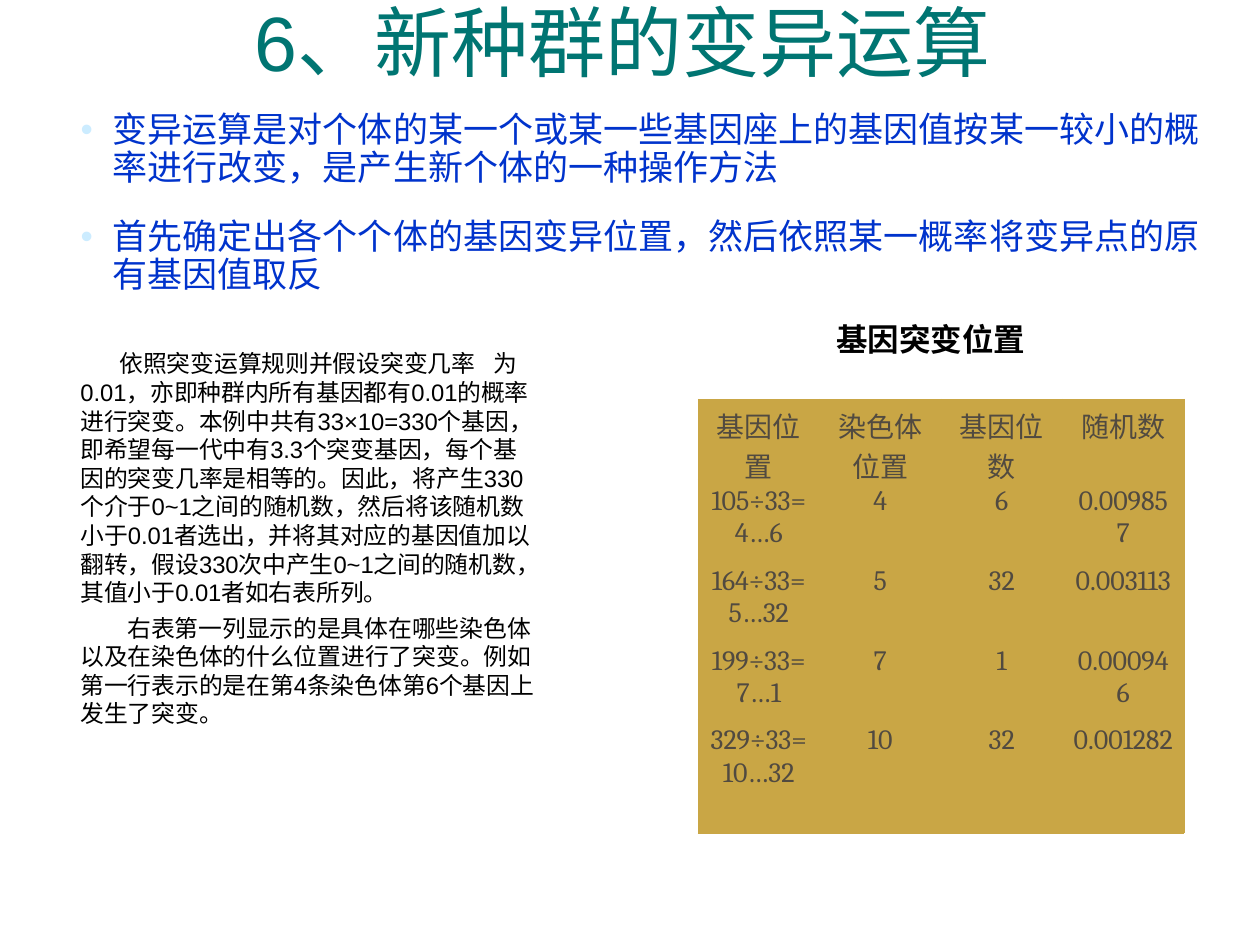
from lxml import etree
from pptx import Presentation
from pptx.dml.color import RGBColor
from pptx.enum.text import MSO_ANCHOR, MSO_AUTO_SIZE, PP_ALIGN
from pptx.oxml.ns import qn
from pptx.util import Pt

PX = 914400 // 126
CENTER, LEFT = PP_ALIGN.CENTER, PP_ALIGN.LEFT
BOTTOM, TOP = MSO_ANCHOR.BOTTOM, MSO_ANCHOR.TOP
NO_FIT = MSO_AUTO_SIZE.NONE
SANS, SERIF, CJK = "Arial", "Cambria", "Noto Sans CJK SC"
COLORS = {"title": "007572", "list": "0033CC", "bullet": "CCECFF",
          "text": "000000", "cell": "C9A645", "cell_text": "514A40"}

TITLE = "6、新种群的变异运算"
POINTS = [
    "变异运算是对个体的某一个或某一些基因座上的基因值按某一较小的概率进行改变，是产生新个体的一种操作方法",
    "首先确定出各个个体的基因变异位置，然后依照某一概率将变异点的原有基因值取反",
]
# Each paragraph with its first-line indent in px
EXPLANATION = [
    (39, "依照突变运算规则并假设突变几率\t为0.01，亦即种群内所有基因都有0.01的概率进行突变。"
         "本例中共有33×10=330个基因，即希望每一代中有3.3个突变基因，每个基因的突变几率是相等的。"
         "因此，将产生330个介于0~1之间的随机数，然后将该随机数小于0.01者选出，并将其对应的基因值加以翻转，"
         "假设330次中产生0~1之间的随机数，其值小于0.01者如右表所列。"),
    (47, "右表第一列显示的是具体在哪些染色体以及在染色体的什么位置进行了突变。"
         "例如第一行表示的是在第4条染色体第6个基因上发生了突变。"),
]
CAPTION = "基因突变位置"
ROWS = [
    ("基因位置", "染色体位置", "基因位数", "随机数"),
    ("105÷33=4…6", "4", "6", "0.009857"),
    ("164÷33=5…32", "5", "32", "0.003113"),
    ("199÷33=7…1", "7", "1", "0.000946"),
    ("329÷33=10…32", "10", "32", "0.001282"),
]
ROW_HEIGHTS = [80, 80, 80, 80, 114]


def emu(box):
    return [v * PX for v in box]


def place(sp, box):
    sp.left, sp.top, sp.width, sp.height = emu(box)


def add_run(p, text, font, size, color, bold=False):
    r = p.add_run()
    r.text = text
    r.font.name, r.font.size, r.font.bold = font, Pt(size), bold
    r.font.color.rgb = RGBColor.from_string(COLORS[color])
    return r


def paragraph(tf, index, align, before=0):
    p = tf.paragraphs[0] if index == 0 else tf.add_paragraph()
    p.alignment = align
    p.space_before = Pt(before if index else 0)
    return p


def set_indent(p, left, first):
    pPr = p._p.get_or_add_pPr()
    pPr.set("marL", str(left * PX))
    pPr.set("indent", str(first * PX))
    return pPr


def add_text_box(s, box):
    tf = s.shapes.add_textbox(*emu(box)).text_frame
    tf.word_wrap = True
    return tf


def add_title(s, box):
    sp = s.shapes.title
    place(sp, box)
    tf = sp.text_frame
    tf.auto_size, tf.vertical_anchor = NO_FIT, BOTTOM
    add_run(paragraph(tf, 0, CENTER), TITLE, SANS, 44, "title")


def add_points(s, box):
    sp = s.placeholders[1]
    place(sp, box)
    tf = sp.text_frame
    tf.auto_size, tf.vertical_anchor = NO_FIT, TOP
    for i, text in enumerate(POINTS):
        p = paragraph(tf, i, LEFT, 18)
        p.line_spacing = 0.9
        pPr = set_indent(p, 38, -32)
        color = etree.SubElement(pPr, qn("a:buClr"))
        etree.SubElement(color, qn("a:srgbClr"), val=COLORS["bullet"])
        etree.SubElement(pPr, qn("a:buChar"), char="•")
        add_run(p, text, SANS, 20, "list")


def add_explanation(s, box):
    tf = add_text_box(s, box)
    for i, (first, text) in enumerate(EXPLANATION):
        p = paragraph(tf, i, LEFT, 4)
        pPr = set_indent(p, 6, first)
        if "\t" in text:
            tabs = etree.SubElement(pPr, qn("a:tabLst"))
            etree.SubElement(tabs, qn("a:tab"), pos=str(430 * PX), algn="l")
        add_run(p, text, SANS, 13.6, "text")


def add_caption(s, box):
    tf = add_text_box(s, box)
    add_run(paragraph(tf, 0, CENTER), CAPTION, SERIF, 18, "text", bold=True)


def set_borders(cell):
    tcPr = cell._tc.get_or_add_tcPr()
    for i, side in enumerate(("lnL", "lnR", "lnT", "lnB")):
        ln = etree.Element(qn(f"a:{side}"), w=str(Pt(0.23)))
        fill = etree.SubElement(ln, qn("a:solidFill"))
        etree.SubElement(fill, qn("a:srgbClr"), val=COLORS["cell"])
        tcPr.insert(i, ln)


def add_mutation_table(s, box):
    table = s.shapes.add_table(len(ROWS), len(ROWS[0]), *emu(box)).table
    for i, (values, height) in enumerate(zip(ROWS, ROW_HEIGHTS)):
        table.rows[i].height = height * PX
        for j, text in enumerate(values):
            cell = table.cell(i, j)
            cell.fill.solid()
            cell.fill.fore_color.rgb = RGBColor.from_string(COLORS["cell"])
            cell.margin_left = cell.margin_right = 10 * PX
            cell.margin_top = cell.margin_bottom = 6 * PX
            set_borders(cell)
            p = paragraph(cell.text_frame, 0, CENTER)
            add_run(p, text, SERIF if i else CJK, 16, "cell_text")


def main():
    prs = Presentation()
    prs.slide_width, prs.slide_height = emu((1260, 945))
    s = prs.slides.add_slide(prs.slide_layouts[1])
    add_title(s, (126, 14, 993, 79))
    add_explanation(s, (62, 343, 489, 475))
    add_points(s, (62, 106, 1180, 173))
    add_caption(s, (656, 314, 549, 50))
    add_mutation_table(s, (698, 399, 486, sum(ROW_HEIGHTS)))
    prs.save("out.pptx")


if __name__ == "__main__":
    main()
